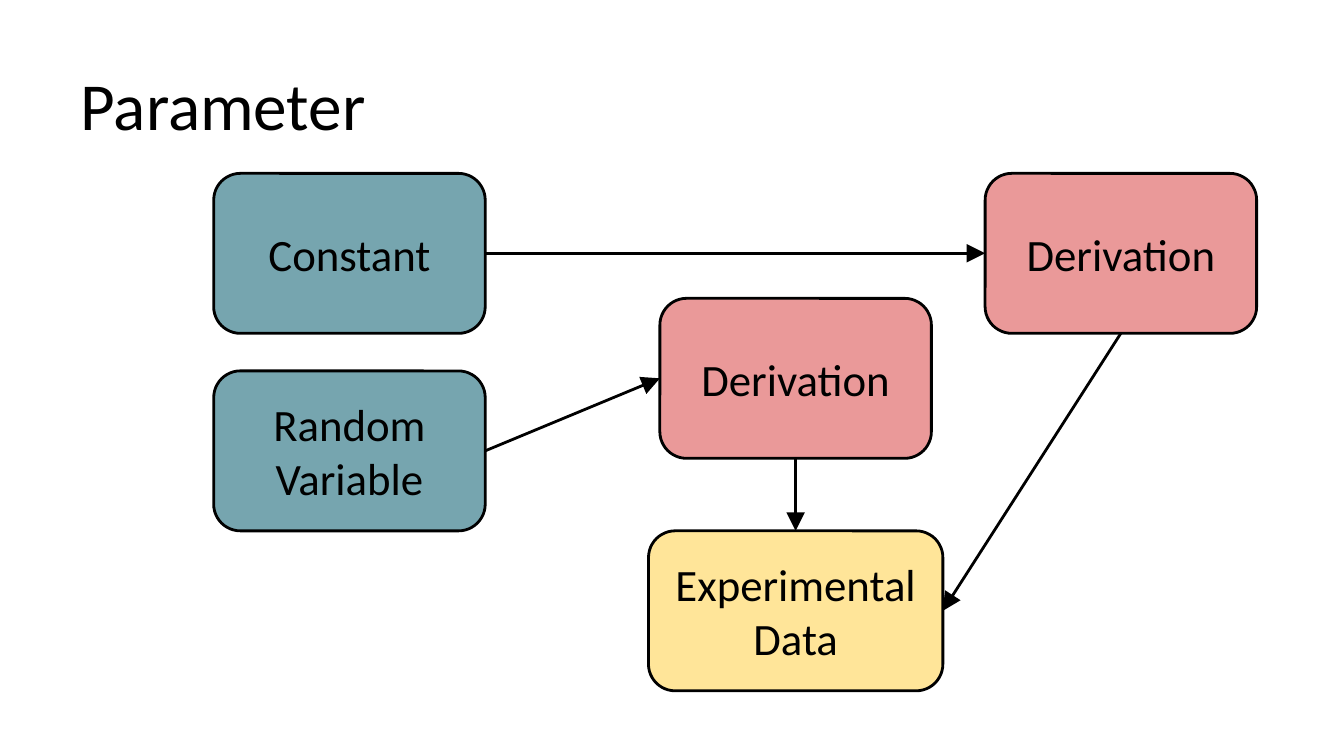
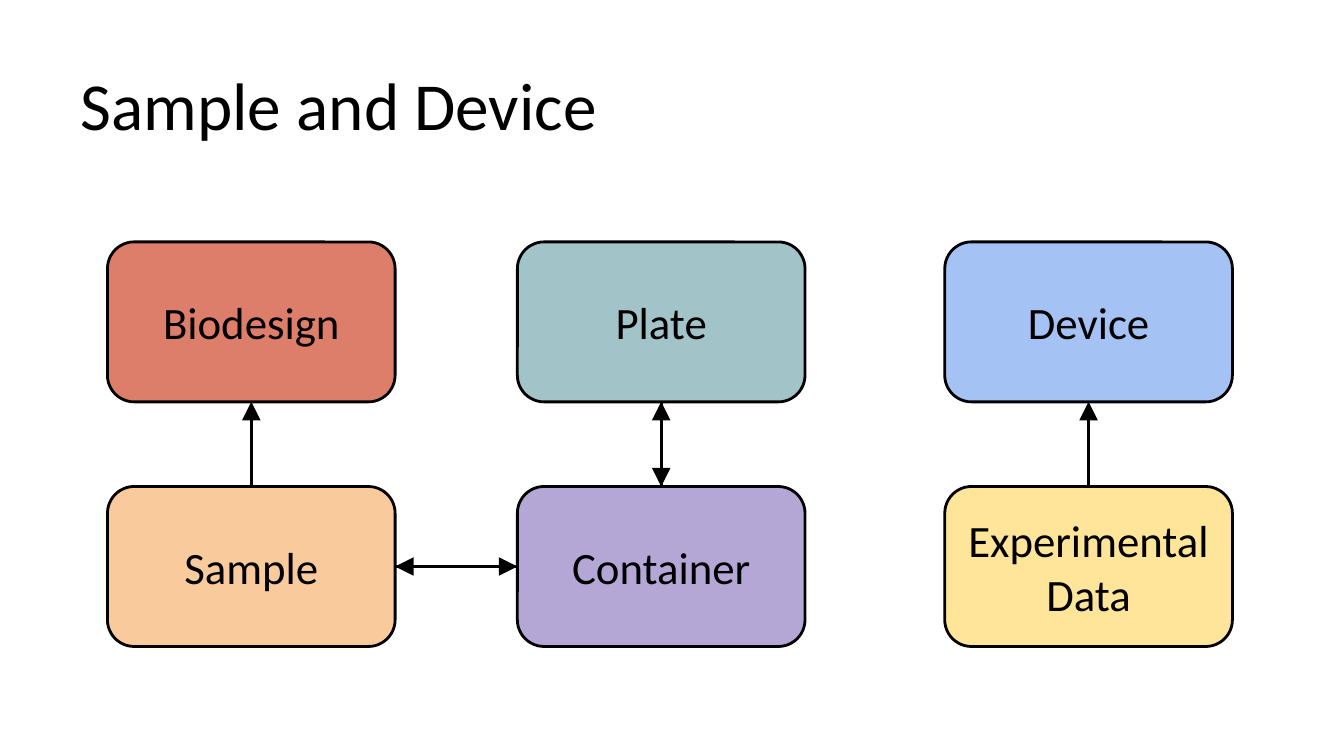
from lxml.etree import SubElement
from pptx import Presentation
from pptx.dml.color import RGBColor
from pptx.enum.shapes import MSO_CONNECTOR, MSO_SHAPE
from pptx.enum.text import MSO_ANCHOR, MSO_AUTO_SIZE, PP_ALIGN
from pptx.oxml.ns import qn
from pptx.util import Inches, Pt

FONT = "Calibri"
INK = "000000"
BACKGROUND = "FFFFFF"
TEAL, PINK, YELLOW = "76A5AF", "EA9999", "FFE599"
RED, ORANGE, SAGE, PURPLE, BLUE = "DD7E6B", "F9CB9C", "A2C4C9", "B4A7D6", "A4C2F4"

SLIDE_WIDTH = 10
SLIDE_HEIGHT = SLIDE_WIDTH * 9 / 16
TITLE_BOX = (0.5, 0.23, 9, 0.94)
BOX_HEIGHT = 1.19
MARGIN = 0.1
LINE_WIDTH = 1.5
TOP, LEFT, BOTTOM, RIGHT = range(4)

DIAGRAMS = [
    {
        "title": "Parameter",
        "box_width": 2.02,
        "columns": (2.6, 5.92, 8.34),
        "rows": (1.29, 2.22, 2.76, 3.95),
        "boxes": {
            "constant": ("Constant", 0, 0, TEAL),
            "variable": ("Random Variable", 0, 2, TEAL),
            "derived variable": ("Derivation", 1, 1, PINK),
            "derived constant": ("Derivation", 2, 0, PINK),
            "data": ("Experimental Data", 1, 3, YELLOW),
        },
        "wider": {"data": 2.19},
        "arrows": [
            ("constant", RIGHT, "derived constant", LEFT),
            ("variable", RIGHT, "derived variable", LEFT),
            ("derived variable", BOTTOM, "data", TOP),
            ("derived constant", BOTTOM, "data", RIGHT),
        ],
    },
    {
        "title": "Sample and Device",
        "box_width": 2.14,
        "columns": (1.87, 4.92, 8.1),
        "rows": (1.8, 3.62),
        "boxes": {
            "biodesign": ("Biodesign", 0, 0, RED),
            "plate": ("Plate", 1, 0, SAGE),
            "device": ("Device", 2, 0, BLUE),
            "sample": ("Sample", 0, 1, ORANGE),
            "container": ("Container", 1, 1, PURPLE),
            "data": ("Experimental Data", 2, 1, YELLOW),
        },
        "wider": {},
        "arrows": [
            ("sample", TOP, "biodesign", BOTTOM),
            ("sample", RIGHT, "container", LEFT),
            ("container", LEFT, "sample", RIGHT),
            ("container", TOP, "plate", BOTTOM),
            ("plate", BOTTOM, "container", TOP),
            ("data", TOP, "device", BOTTOM),
        ],
    },
]


def color(value):
    return RGBColor.from_string(value)


def set_text(shape, text, size, alignment, anchor):
    frame = shape.text_frame
    frame.text = text
    frame.word_wrap = True
    frame.auto_size = MSO_AUTO_SIZE.NONE
    frame.vertical_anchor = anchor
    frame.margin_left = frame.margin_right = Inches(MARGIN)
    frame.margin_top = frame.margin_bottom = Inches(MARGIN)
    paragraph = frame.paragraphs[0]
    paragraph.alignment = alignment
    font = paragraph.runs[0].font
    font.name = FONT
    font.size = Pt(size)
    font.color.rgb = color(INK)


def set_line(line):
    line.color.rgb = color(INK)
    line.width = Pt(LINE_WIDTH)


def add_title(slide, text):
    title = slide.shapes.title
    title.left, title.top, title.width, title.height = map(Inches, TITLE_BOX)
    set_text(title, text, 36, PP_ALIGN.LEFT, MSO_ANCHOR.BOTTOM)


def add_box(slide, text, center, top, width, fill):
    shape = slide.shapes.add_shape(
        MSO_SHAPE.ROUNDED_RECTANGLE,
        *map(Inches, (center - width / 2, top, width, BOX_HEIGHT)),
    )
    shape.shadow.inherit = False
    shape.fill.solid()
    shape.fill.fore_color.rgb = color(fill)
    set_line(shape.line)
    set_text(shape, text, 24, PP_ALIGN.CENTER, MSO_ANCHOR.MIDDLE)
    return shape


def add_arrow(slide, start, start_side, end, end_side):
    connector = slide.shapes.add_connector(MSO_CONNECTOR.STRAIGHT, 0, 0, 0, 0)
    connector.begin_connect(start, start_side)
    connector.end_connect(end, end_side)
    set_line(connector.line)
    properties = connector._element.spPr.find(qn("a:ln"))
    SubElement(properties, qn("a:tailEnd"), type="triangle", w="lg", len="lg")
    SubElement(connector._element.spPr, qn("a:effectLst"))


def add_diagram(presentation, diagram):
    slide = presentation.slides.add_slide(presentation.slide_layouts[5])
    slide.background.fill.solid()
    slide.background.fill.fore_color.rgb = color(BACKGROUND)
    add_title(slide, diagram["title"])
    boxes = {}
    for name, (text, column, row, fill) in diagram["boxes"].items():
        width = diagram["wider"].get(name, diagram["box_width"])
        center, top = diagram["columns"][column], diagram["rows"][row]
        boxes[name] = add_box(slide, text, center, top, width, fill)
    for start, start_side, end, end_side in diagram["arrows"]:
        add_arrow(slide, boxes[start], start_side, boxes[end], end_side)


presentation = Presentation()
presentation.slide_width = Inches(SLIDE_WIDTH)
presentation.slide_height = Inches(SLIDE_HEIGHT)
for diagram in DIAGRAMS:
    add_diagram(presentation, diagram)
presentation.save("out.pptx")
